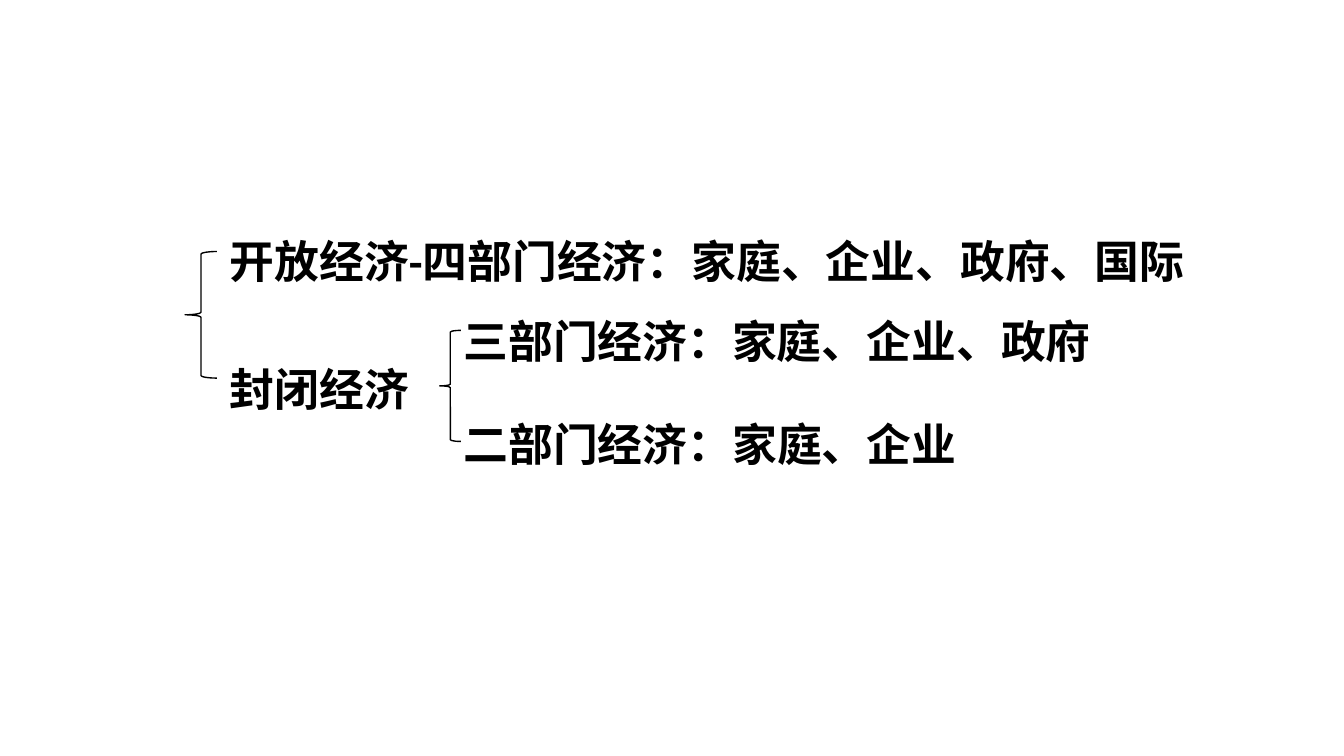
import pptx
import pptx.dml.color
import pptx.enum.shapes
import pptx.enum.text
import pptx.util

Pt = pptx.util.Pt
COLORS = {"ink": "000000", "background": "FFFFFF"}
INK = pptx.dml.color.RGBColor.from_string(COLORS["ink"])

prs = pptx.Presentation()
prs.slide_width, prs.slide_height = Pt(720), Pt(405)
s = prs.slides.add_slide(prs.slide_layouts[6])
s.background.fill.solid()
s.background.fill.fore_color.rgb = pptx.dml.color.RGBColor.from_string(COLORS["background"])

# Economy types: text, left, top, width
labels = [
    ("开放经济-四部门经济：家庭、企业、政府、国际", 116, 121.7, 581),
    ("封闭经济", 116, 190.1, 119),
    ("三部门经济：家庭、企业、政府", 241.2, 164.4, 440),
    ("二部门经济：家庭、企业", 241.2, 219.8, 284),
]
for text, left, top, width in labels:
    sp = s.shapes.add_textbox(Pt(left), Pt(top), Pt(width), Pt(36))
    tf = sp.text_frame
    tf.word_wrap = True
    tf.auto_size = pptx.enum.text.MSO_AUTO_SIZE.SHAPE_TO_FIT_TEXT
    p = tf.paragraphs[0]
    p.text = text
    p.font.name = "Calibri"
    p.font.size = Pt(24)
    p.font.bold = True
    p.font.color.rgb = INK

# Braces grouping the branches: left, top, width, height
braces = [(99.2, 134.8, 17, 67.8), (235.6, 177, 11.3, 59.5)]
for left, top, width, height in braces:
    sp = s.shapes.add_shape(pptx.enum.shapes.MSO_SHAPE.LEFT_BRACE,
                            Pt(left), Pt(top), Pt(width), Pt(height))
    sp.shadow.inherit = False
    sp.fill.background()
    sp.line.color.rgb = INK
    sp.line.width = Pt(0.75)

prs.save("out.pptx")
